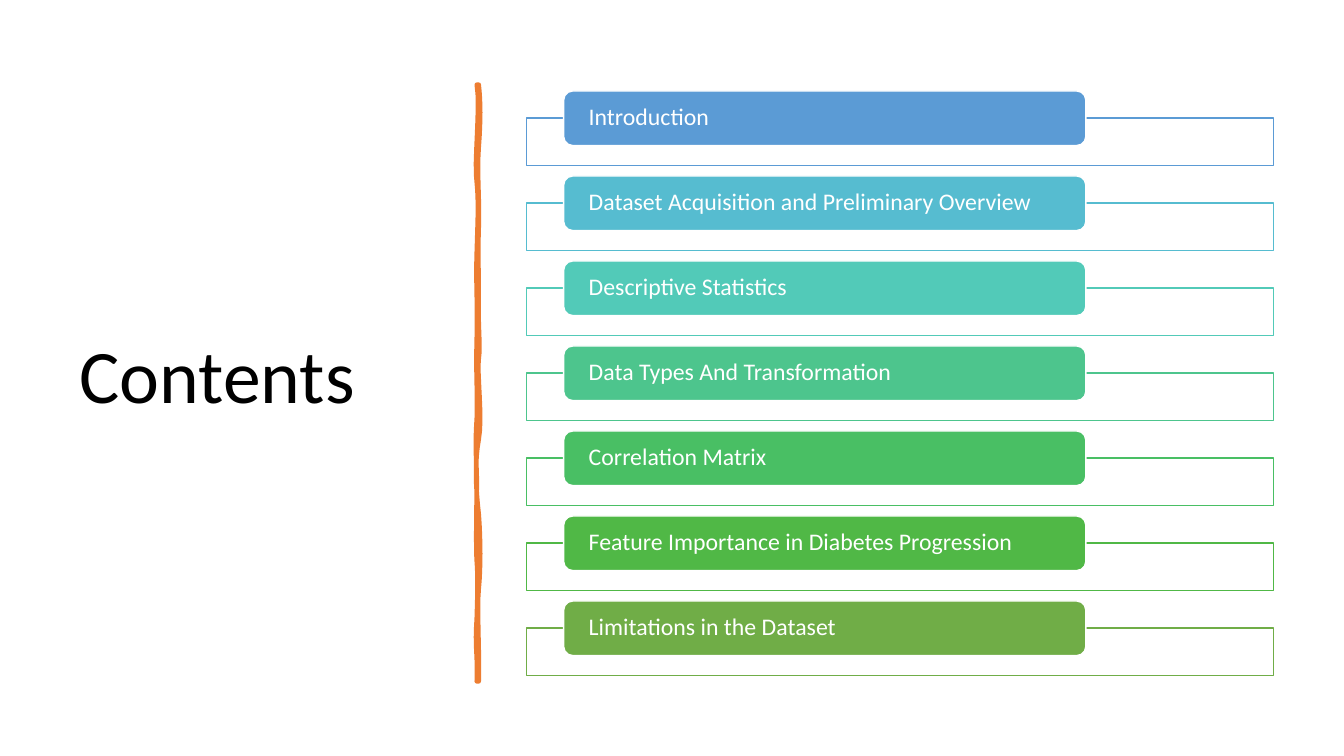
from dataclasses import dataclass

from pptx import Presentation
from pptx.dml.color import RGBColor
from pptx.enum.shapes import MSO_SHAPE
from pptx.enum.text import MSO_ANCHOR, MSO_AUTO_SIZE, PP_ALIGN
from pptx.oxml.xmlchemy import OxmlElement
from pptx.shapes.autoshape import Shape
from pptx.slide import Slide
from pptx.text.text import TextFrame
from pptx.util import Pt

RECT, ROUND_RECT = MSO_SHAPE.RECTANGLE, MSO_SHAPE.ROUNDED_RECTANGLE
MIDDLE, LEFT, NO_FIT = MSO_ANCHOR.MIDDLE, PP_ALIGN.LEFT, MSO_AUTO_SIZE.NONE
TITLE_ONLY = 5


@dataclass(frozen=True)
class Theme:
    font: str = "Calibri"
    title_size: float = 54
    item_size: float = 17
    dark: str = "000000"
    light: str = "FFFFFF"
    accent: str = "ED7D31"


@dataclass(frozen=True)
class Box:
    left: float
    top: float
    width: float
    height: float

    def lengths(self, shift: float = 0) -> tuple:
        """Box in EMU, moved down by shift points."""
        return tuple(Pt(v) for v in (self.left, self.top + shift, self.width, self.height))


@dataclass(frozen=True)
class Item:
    label: str
    color: str


@dataclass(frozen=True)
class Curve:
    """Cubic curve that ends at height y on its edge of the divider."""
    x1: float
    y1: float
    x2: float
    y2: float
    y: float


THEME = Theme()
TITLE_BOX = Box(49.7, 50.4, 269.3, 439.9)
FRAME = Box(376, 84.3, 533.5, 33.8)
TAB = Box(402.6, 65, 373, 39)
PITCH = 60.72

ITEMS = [
    Item("Introduction", "5B9BD5"),
    Item("Dataset Acquisition and Preliminary Overview", "56BCD0"),
    Item("Descriptive Statistics", "52CAB8"),
    Item("Data Types And Transformation", "4DC58D"),
    Item("Correlation Matrix", "49BF64"),
    Item("Feature Importance in Diabetes Progression", "50B846"),
    Item("Limitations in the Dataset", "70AD47"),
]

DIVIDER_TOP, DIVIDER_BOTTOM = 60.5, 486.7
RIGHT_X, LEFT_X = 342, 340.6
RIGHT_EDGE = [
    Curve(343.4, 73.4, 343.4, 85.7, 105.1),
    Curve(340.6, 124.6, 342.7, 140.4, 162.7),
    Curve(341.3, 185, 342, 188.6, 211.7),
    Curve(341.3, 234, 343.4, 246.2, 256.3),
    Curve(340.6, 266.4, 344.9, 298.1, 313.9),
    Curve(339.1, 329, 339.8, 348.5, 367.2),
    Curve(343.4, 385.9, 343.4, 406.1, 420.5),
    Curve(340.6, 434.2, 342.7, 468, DIVIDER_BOTTOM),
]
LEFT_EDGE = [
    Curve(341.3, 465.1, 339.1, 463.7, 441.4),
    Curve(341.3, 419.8, 341.3, 410.4, 401),
    Curve(339.8, 391.7, 340.6, 356.4, 343.4),
    Curve(340.6, 330.5, 339.1, 320.4, 298.8),
    Curve(341.3, 277.9, 339.8, 268.6, 241.2),
    Curve(341.3, 214.6, 339.8, 202.3, 180),
    Curve(341.3, 157, 342, 144, 130.3),
    Curve(338.4, 117.4, 343.4, 74.9, DIVIDER_TOP),
]


def edge_points(x: float, y: float, curves: list[Curve], steps: int = 8) -> list[tuple]:
    """Sample the curves of one edge, starting at (x, y)."""
    points = [(x, y)]
    for c in curves:
        for i in range(1, steps + 1):
            t = i / steps
            u = 1 - t
            w = (u**3, 3 * u * u * t, 3 * u * t * t, t**3)
            points.append((
                sum(a * b for a, b in zip(w, (x, c.x1, c.x2, x))),
                sum(a * b for a, b in zip(w, (y, c.y1, c.y2, c.y))),
            ))
        y = c.y
    return points


def paint(sp: Shape, fill: str, line: str, width: float) -> None:
    sp.shadow.inherit = False
    sp.fill.solid()
    sp.fill.fore_color.rgb = RGBColor.from_string(fill)
    sp.line.color.rgb = RGBColor.from_string(line)
    sp.line.width = Pt(width)


def write(tf: TextFrame, text: str, size: float, color: str, inset: float) -> None:
    frame_format = {
        "word_wrap": True, "auto_size": NO_FIT, "vertical_anchor": MIDDLE,
        "margin_left": Pt(inset), "margin_right": Pt(inset),
        "margin_top": Pt(0), "margin_bottom": Pt(0),
    }
    for name, value in frame_format.items():
        setattr(tf, name, value)
    p = tf.paragraphs[0]
    p.alignment, p.line_spacing = LEFT, 0.9
    r = p.add_run()
    r.text = text
    for name, value in {"name": THEME.font, "size": Pt(size)}.items():
        setattr(r.font, name, value)
    r.font.color.rgb = RGBColor.from_string(color)


def add_title(slide: Slide) -> None:
    sp = slide.shapes.title
    sp.left, sp.top, sp.width, sp.height = TITLE_BOX.lengths()
    write(sp.text_frame, "Contents", THEME.title_size, THEME.dark, 7.2)


def add_divider(slide: Slide) -> None:
    points = (edge_points(RIGHT_X, DIVIDER_TOP, RIGHT_EDGE)
              + edge_points(LEFT_X, DIVIDER_BOTTOM, LEFT_EDGE))
    start, *rest = [(Pt(x), Pt(y)) for x, y in points]
    builder = slide.shapes.build_freeform(*start)
    builder.add_line_segments(rest, close=True)
    sp = builder.convert_to_shape()
    paint(sp, THEME.accent, THEME.accent, 3.25)
    for ln in sp.element.xpath("./p:spPr/a:ln"):
        ln.append(OxmlElement("a:round"))


def add_item(slide: Slide, item: Item, shift: float) -> None:
    frame = slide.shapes.add_shape(RECT, *FRAME.lengths(shift))
    paint(frame, THEME.light, item.color, 1)
    tab = slide.shapes.add_shape(ROUND_RECT, *TAB.lengths(shift))
    paint(tab, item.color, THEME.light, 1)
    write(tab.text_frame, item.label, THEME.item_size, THEME.light, 16)


def main() -> None:
    prs = Presentation()
    prs.slide_width, prs.slide_height = Pt(960), Pt(540)
    slide = prs.slides.add_slide(prs.slide_layouts[TITLE_ONLY])
    add_title(slide)
    add_divider(slide)
    for i, item in enumerate(ITEMS):
        add_item(slide, item, i * PITCH)
    prs.save("out.pptx")


if __name__ == "__main__":
    main()
